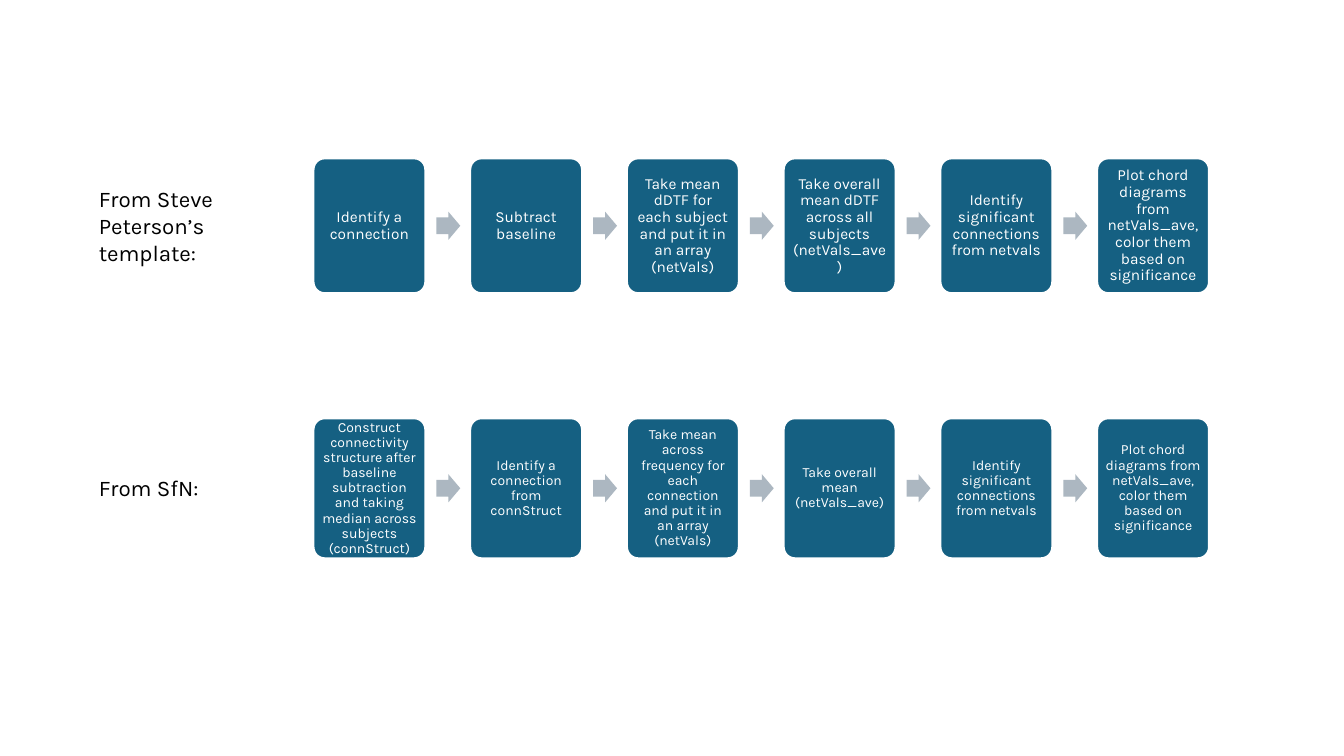
import pptx
import pptx.util
import pptx.dml.color
import pptx.enum.shapes
import pptx.enum.text

Cm, Pt = pptx.util.Cm, pptx.util.Pt
SHAPE = pptx.enum.shapes.MSO_SHAPE
ALIGN = pptx.enum.text.PP_ALIGN
ANCHOR = pptx.enum.text.MSO_ANCHOR

# Content: one dict per process row, lengths in cm
ROWS = [
    {"label": "From Steve Peterson’s template:", "label_height": 2.31,
     "top": 3.99, "height": 3.4, "size": 11, "inset": 0.13,
     "steps": [
         "Identify a connection",
         "Subtract baseline",
         "Take mean dDTF for each subject and put it in an array (netVals)",
         "Take overall mean dDTF across all subjects (netVals_ave)",
         "Identify significant connections from netvals",
         "Plot chord diagrams from netVals_ave, color them based on significance",
     ]},
    {"label": "From SfN:", "label_height": 0.94,
     "top": 10.54, "height": 3.53, "size": 10, "inset": 0.1,
     "steps": [
         "Construct connectivity structure after baseline subtraction and taking "
         "median across subjects (connStruct)",
         "Identify a connection from connStruct",
         "Take mean across frequency for each connection and put it in an array (netVals)",
         "Take overall mean (netVals_ave)",
         "Identify significant connections from netvals",
         "Plot chord diagrams from netVals_ave, color them based on significance",
     ]},
]

# Format and layout
FONT = "Karla"
STEP_FILL, ARROW_FILL, WHITE, BLACK = "156082", "ACB7C1", "FFFFFF", "000000"
LABEL_LEFT, LABEL_WIDTH = 2.24, 4.37
STEP_LEFT, STEP_PITCH, STEP_WIDTH = 7.9, 3.95, 2.82
ARROW_OFFSET, ARROW_WIDTH, ARROW_HEIGHT = 3.1, 0.6, 0.71


def color(hex_code):
    return pptx.dml.color.RGBColor.from_string(hex_code)


def apply(target, values):
    for name, value in values.items():
        setattr(target, name, value)


def write(box, text, size, hex_code, frame_format, para_format):
    apply(box.text_frame, {"word_wrap": True, **frame_format})
    para = box.text_frame.paragraphs[0]
    apply(para, para_format)
    span = para.add_run()
    span.text = text
    apply(span.font, {"name": FONT, "size": Pt(size)})
    span.font.color.rgb = color(hex_code)


def add_shape(page, kind, left, top, width, height, fill, adjustments):
    shape = page.shapes.add_shape(kind, Cm(left), Cm(top), Cm(width), Cm(height))
    shape.shadow.inherit = False
    shape.fill.solid()
    shape.fill.fore_color.rgb = color(fill)
    shape.line.fill.background()
    for index, value in enumerate(adjustments):
        shape.adjustments[index] = value
    return shape


def add_step(page, row, left, text):
    step = add_shape(page, SHAPE.ROUNDED_RECTANGLE, left, row["top"],
                     STEP_WIDTH, row["height"], STEP_FILL, [0.1])
    step.line.color.rgb = color(WHITE)
    step.line.width = Pt(1.5)
    frame_format = {"vertical_anchor": ANCHOR.MIDDLE}
    for side in ("left", "top", "right", "bottom"):
        frame_format["margin_" + side] = Cm(row["inset"])
    write(step, text, row["size"], WHITE, frame_format,
          {"alignment": ALIGN.CENTER, "line_spacing": 0.9})


def add_row(page, row):
    middle = row["top"] + row["height"] / 2

    # Steps with an arrow between neighbours
    for index, text in enumerate(row["steps"]):
        left = STEP_LEFT + index * STEP_PITCH
        add_step(page, row, left, text)
        if index < len(row["steps"]) - 1:
            add_shape(page, SHAPE.RIGHT_ARROW, left + ARROW_OFFSET,
                      middle - ARROW_HEIGHT / 2, ARROW_WIDTH, ARROW_HEIGHT,
                      ARROW_FILL, [0.6, 0.5])

    # Label at the left, centred on the row
    height = row["label_height"]
    label = page.shapes.add_textbox(Cm(LABEL_LEFT), Cm(middle - height / 2),
                                    Cm(LABEL_WIDTH), Cm(height))
    write(label, row["label"], 16, BLACK,
          {"auto_size": pptx.enum.text.MSO_AUTO_SIZE.SHAPE_TO_FIT_TEXT},
          {"alignment": ALIGN.LEFT})


def main():
    deck = pptx.Presentation()
    apply(deck, {"slide_width": Cm(33.87), "slide_height": Cm(19.05)})
    page = deck.slides.add_slide(deck.slide_layouts[6])
    for row in ROWS:
        add_row(page, row)
    deck.save("out.pptx")


if __name__ == "__main__":
    main()
